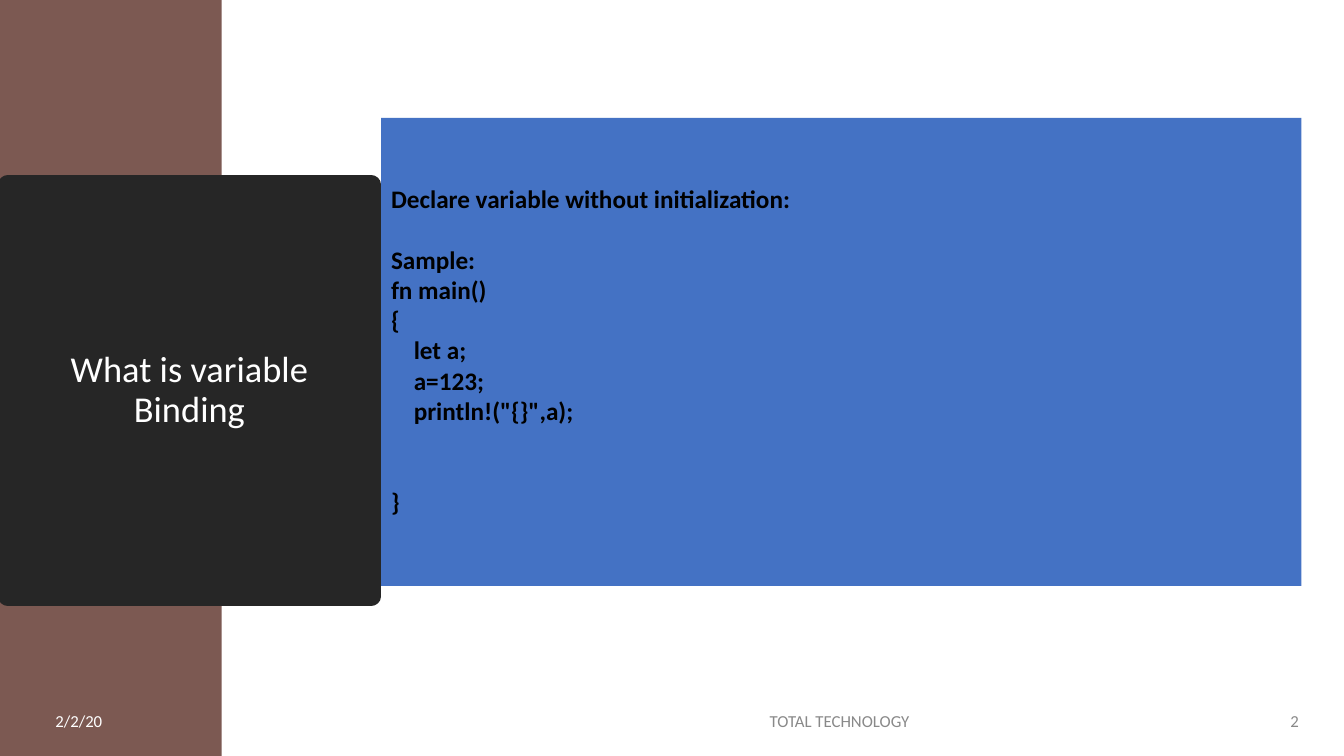
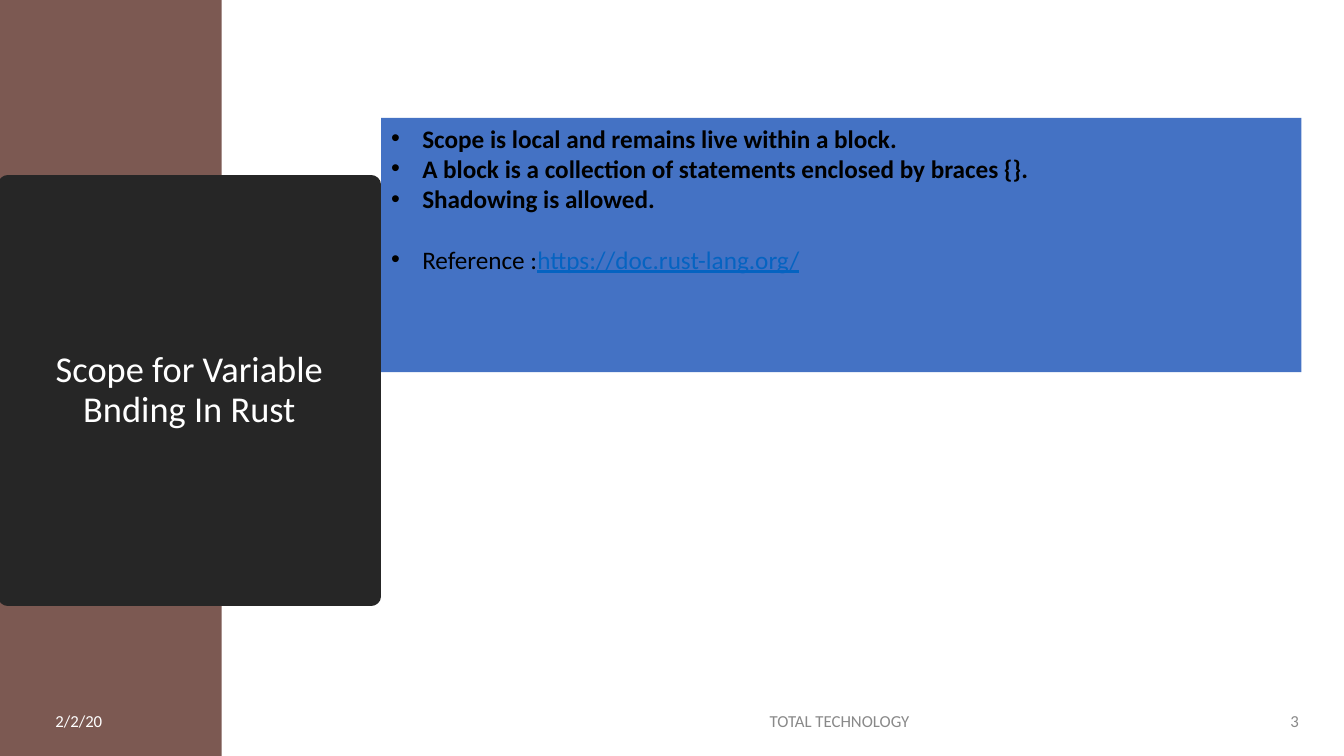
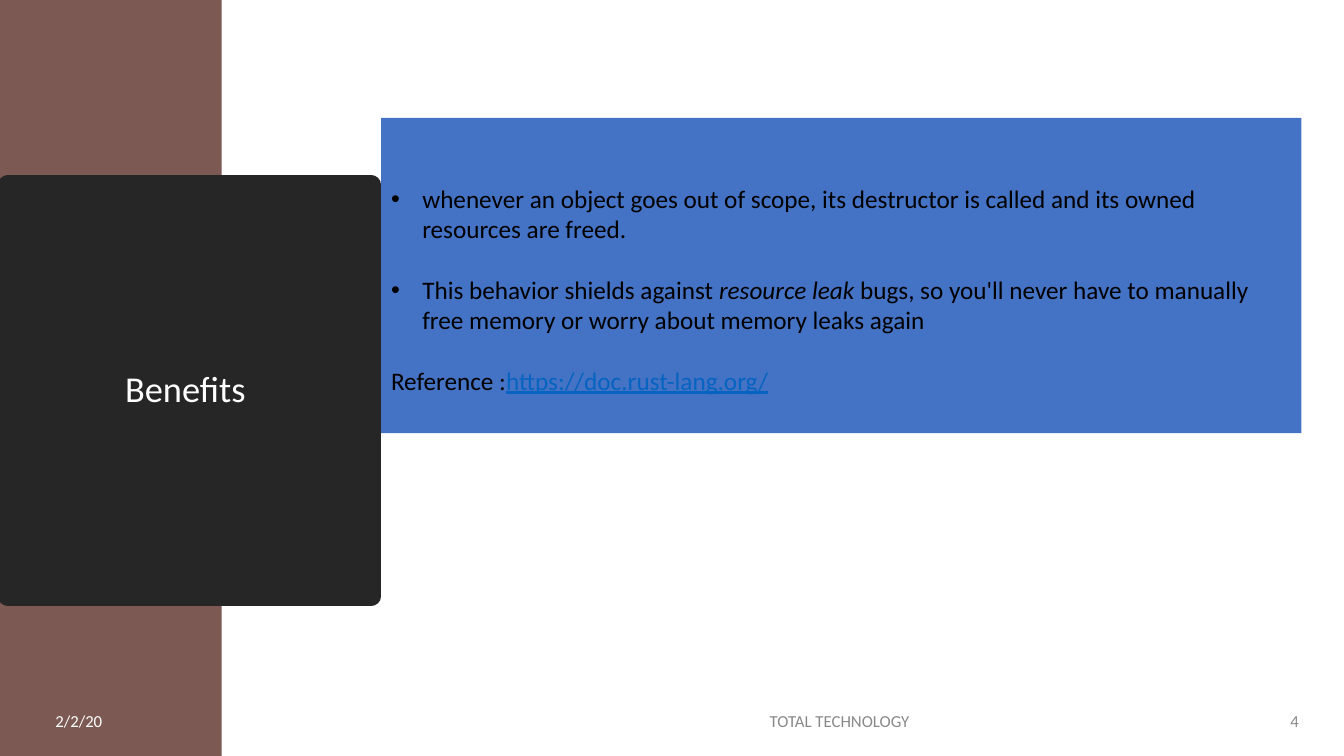
from dataclasses import dataclass
from lxml import etree
from pptx import Presentation
from pptx.dml.color import RGBColor
from pptx.enum.shapes import MSO_SHAPE
from pptx.enum.text import MSO_ANCHOR, MSO_AUTO_SIZE, PP_ALIGN
from pptx.oxml.ns import qn
from pptx.util import Inches, Pt

RECT = MSO_SHAPE.RECTANGLE
TOP, MIDDLE = MSO_ANCHOR.TOP, MSO_ANCHOR.MIDDLE
LEFT, CENTER, RIGHT = PP_ALIGN.LEFT, PP_ALIGN.CENTER, PP_ALIGN.RIGHT
NO_FIT = MSO_AUTO_SIZE.NONE


@dataclass(frozen=True)
class Theme:
    font: str = "Calibri"
    band: str = "7C5952"
    card: str = "262626"
    panel: str = "4472C4"
    white: str = "FFFFFF"
    gray: str = "898989"
    ink: str = "000000"
    link: str = "0563C1"
    head: int = 26
    body: int = 18
    foot: int = 12


T = Theme()
deck = Presentation()
deck.slide_width, deck.slide_height = Inches(13.33), Inches(7.5)

# Grid: one hundred columns and rows; text lines in the panel
COL, ROW = deck.slide_width / 100, deck.slide_height / 100
LINE = Pt(21.8)
GAP = Pt(21.6)
INSET, DENT = Inches(0.05), Inches(0.31)


def grid(x, y, w, h):
    return round(x * COL), round(y * ROW), round(w * COL), round(h * ROW)


def style(run, size, color, bold=False, italic=False):
    font = run.font
    font.name, font.size = T.font, Pt(size)
    font.bold, font.italic = bold, italic
    font.color.rgb = RGBColor.from_string(color)


# Body line: (blank lines above, bulleted, runs); run: (text, marks)
# Marks: b bold, i italic, u link style
source = [("Reference :", ""), ("https://doc.rust-lang.org/", "u")]
code = ["fn main()", "{", "    let a;", "    a=123;", '    println!("{}",a);']
pages = [
    ("What is variable Binding", 15, [
        (2, False, [("Declare variable without initialization:", "b")]),
        (1, False, [("Sample:", "b")]),
        *[(0, False, [(text, "b")]) for text in code],
        (2, False, [("}", "b")]),
    ]),
    ("Scope for Variable Bnding In Rust", 8, [
        (0, True, [("Scope is local and remains live within a block.", "b")]),
        (0, True, [("A block is a collection of statements enclosed by braces {}.", "b")]),
        (0, True, [("Shadowing is allowed.", "b")]),
        (1, True, source),
    ]),
    ("Benefits ", 10, [
        (2, True, [("whenever an object goes out of scope, its destructor is called "
                    "and its owned resources are freed.", "")]),
        (1, True, [("This behavior shields against ", ""),
                   ("resource leak ", "i"),
                   ("bugs, so you'll never have to manually free memory "
                    "or worry about memory leaks again", "")]),
        (1, False, source),
    ]),
]

for num, (name, rows, lines) in enumerate(pages, 2):
    slide = deck.slides.add_slide(deck.slide_layouts[5])
    shapes = slide.shapes
    title = shapes.title

    # Side band, behind the title
    band = shapes.add_shape(RECT, *grid(0, 0, 16.5, 100))
    band.shadow.inherit = False
    band.fill.solid()
    band.fill.fore_color.rgb = RGBColor.from_string(T.band)
    band.line.fill.background()
    title._element.addprevious(band._element)

    # Title card with rounded line joins
    title.left, title.top, title.width, title.height = grid(0.6, 24.4, 27, 54.53)
    title.fill.solid()
    title.fill.fore_color.rgb = RGBColor.from_string(T.card)
    title.line.color.rgb = RGBColor.from_string(T.card)
    title.line.width = Pt(13.75)
    etree.SubElement(title.line._get_or_add_ln(), qn("a:round"))
    frame = title.text_frame
    frame.text = name
    frame.word_wrap, frame.auto_size = True, NO_FIT
    frame.vertical_anchor = MIDDLE
    para = frame.paragraphs[0]
    para.alignment, para.line_spacing = CENTER, 0.9
    style(para.runs[0], T.head, T.white)

    # Footer: date, name, number
    for text, x, w, align, color in [
        ("2/2/20", 3.38, 12.15, LEFT, T.white),
        ("TOTAL TECHNOLOGY ", 33.76, 57.69, CENTER, T.gray),
        (str(num), 92.8, 4.58, RIGHT, T.gray),
    ]:
        frame = shapes.add_textbox(*grid(x, 92.67, w, 5.33)).text_frame
        frame.text = text
        frame.word_wrap, frame.vertical_anchor = True, MIDDLE
        para = frame.paragraphs[0]
        para.alignment, para.space_after = align, Pt(6)
        style(para.runs[0], T.foot, color)

    # Panel, as tall as its count of text lines
    panel = shapes.add_shape(RECT, *grid(28.36, 15.6, 68.48, 0))
    panel.height = rows * LINE + 2 * INSET
    panel.shadow.inherit = False
    panel.fill.solid()
    panel.fill.fore_color.rgb = RGBColor.from_string(T.panel)
    panel.line.fill.background()
    frame = panel.text_frame
    frame.word_wrap, frame.vertical_anchor = True, TOP
    frame.margin_top = INSET + lines[0][0] * GAP

    # Panel text
    for i, (blank, dot, runs) in enumerate(lines):
        para = frame.add_paragraph() if i else frame.paragraphs[0]
        para.alignment = LEFT
        if i and blank:
            para.space_before = blank * GAP
        if dot:
            props = para._p.get_or_add_pPr()
            props.set("marL", str(DENT))
            props.set("indent", str(-DENT))
            etree.SubElement(props, qn("a:buFont"), typeface="Arial")
            etree.SubElement(props, qn("a:buChar"), char="•")
        for text, marks in runs:
            run = para.add_run()
            run.text = text
            color = T.link if "u" in marks else T.ink
            style(run, T.body, color, "b" in marks, "i" in marks)
            if "u" in marks:
                run.font.underline = True

deck.save("out.pptx")
